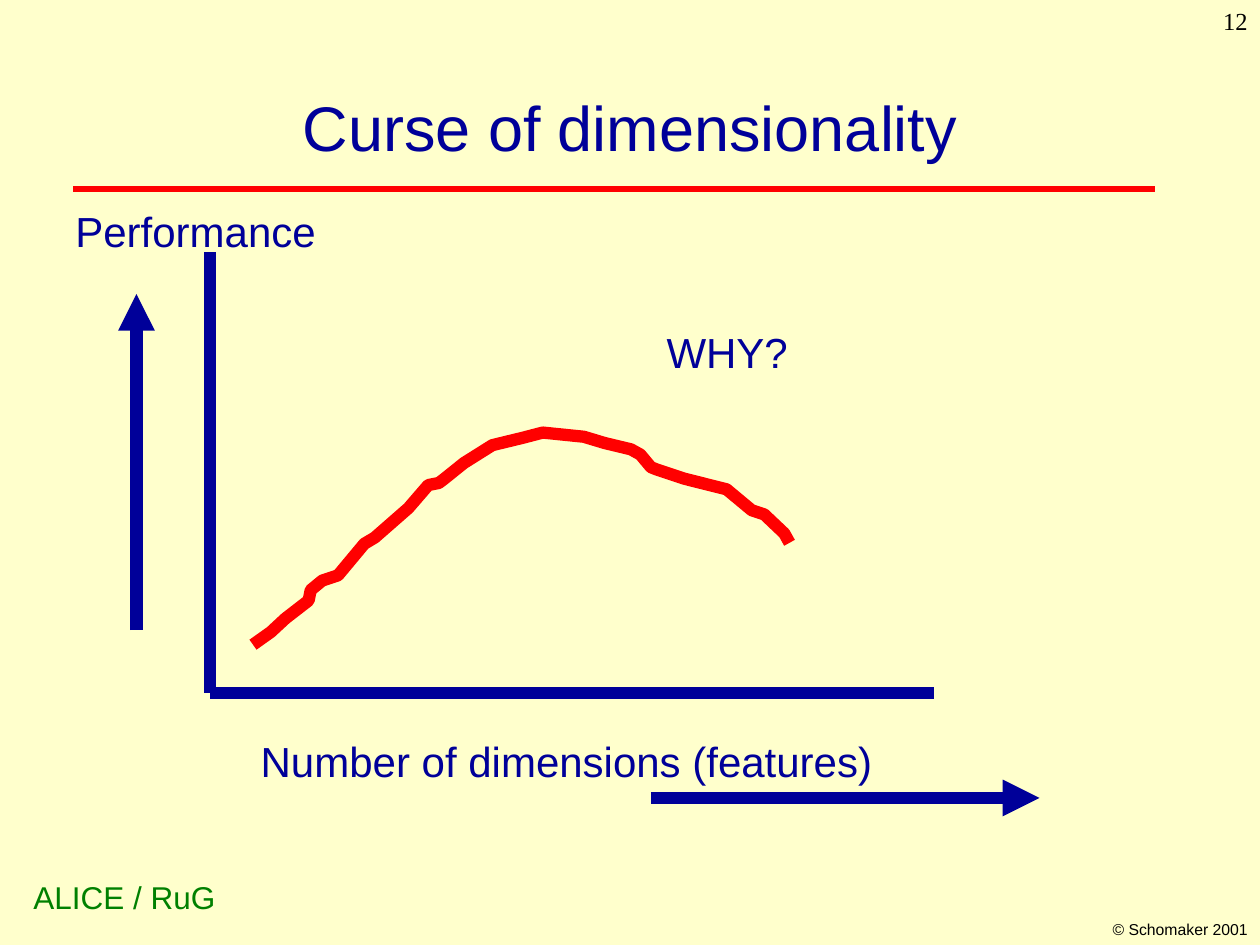
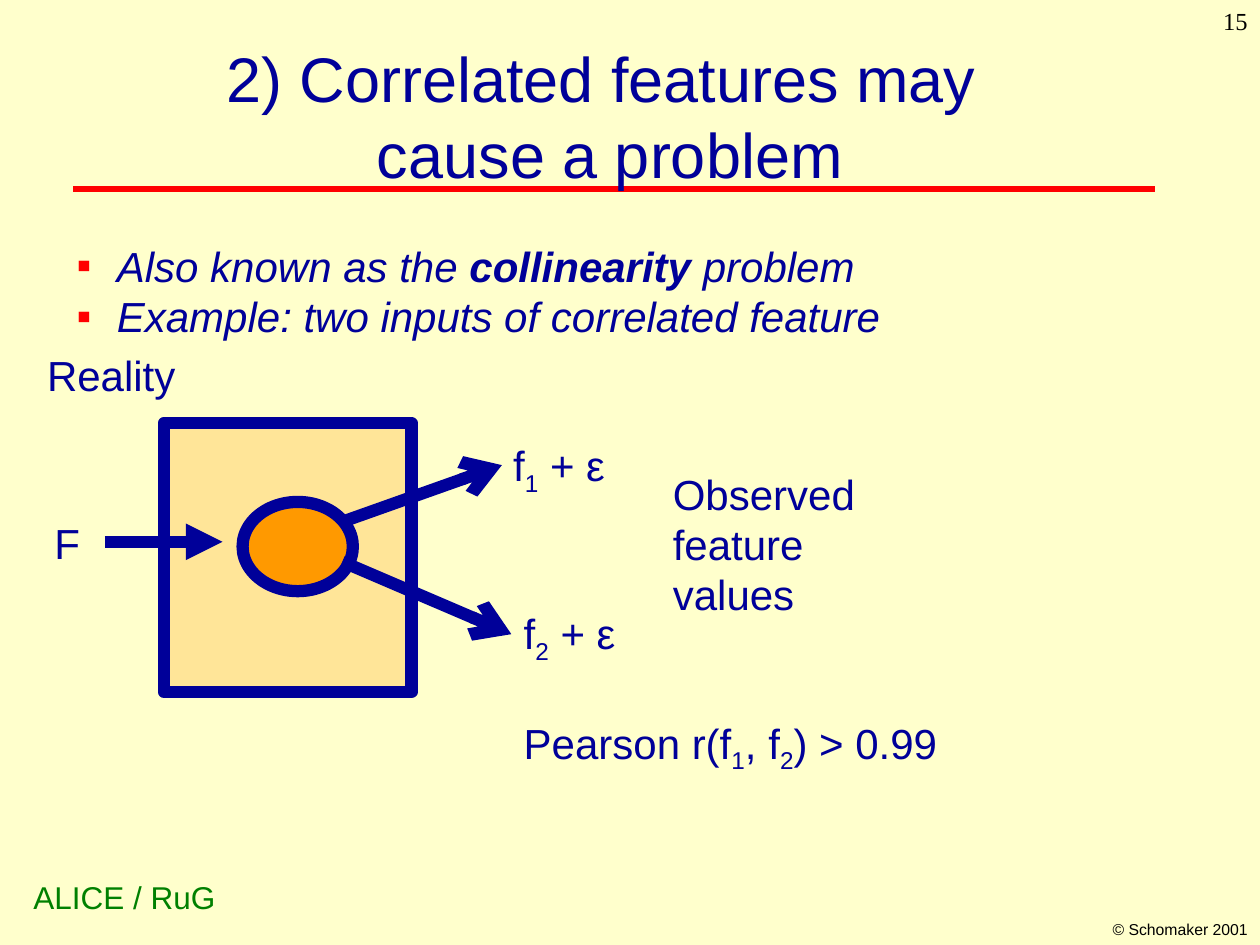
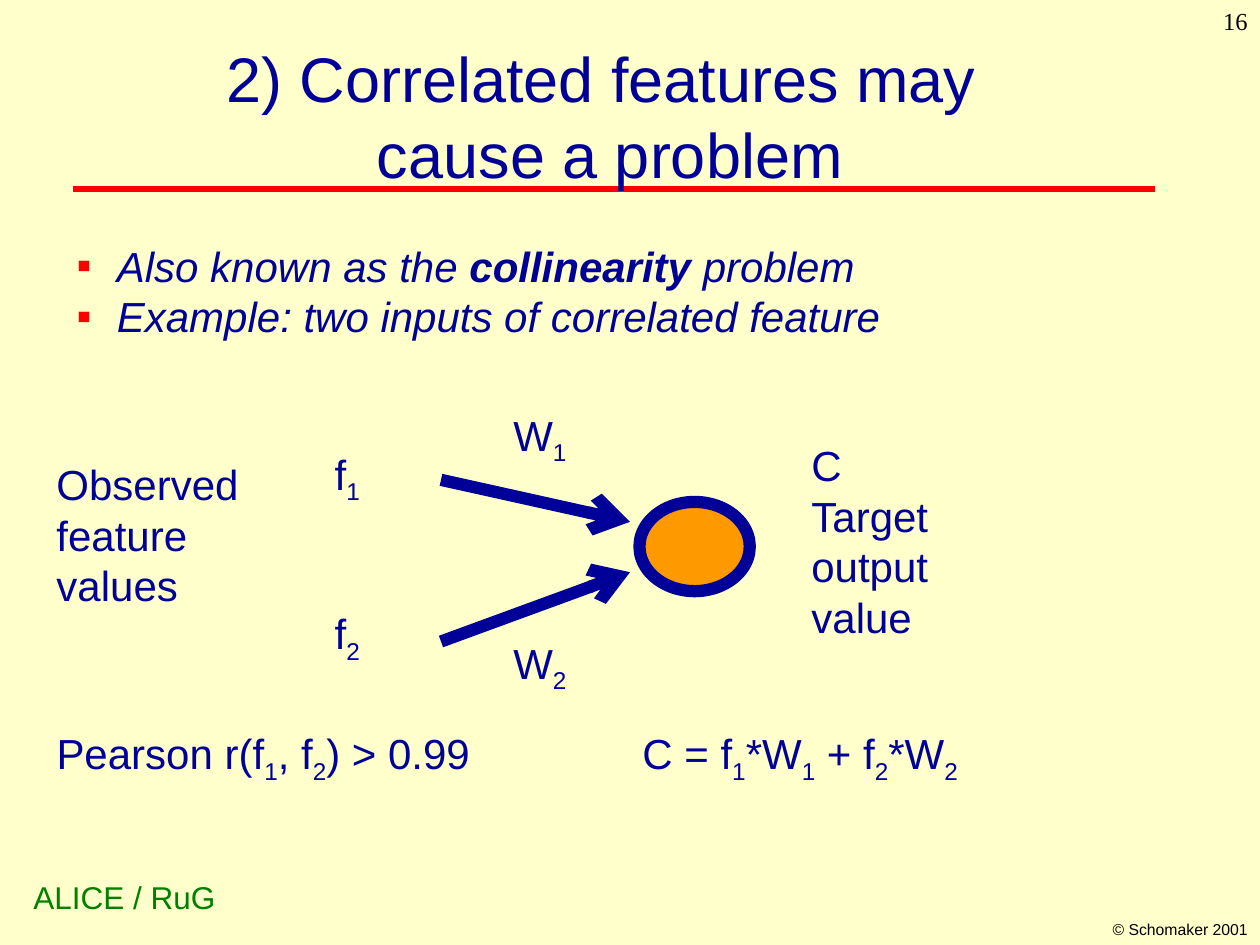
import pptx
import pptx.dml.color
import pptx.enum.shapes
import pptx.enum.text
import pptx.oxml
import pptx.oxml.ns
import pptx.util

COLORS = {
    "paper": "FFFFCC",
    "ink": "000099",
    "red": "FF0000",
    "green": "008000",
    "orange": "FF9900",
    "black": "000000",
}
RGB = {name: pptx.dml.color.RGBColor.from_string(code) for name, code in COLORS.items()}
ALIGN = pptx.enum.text.PP_ALIGN
SHAPE = pptx.enum.shapes.MSO_SHAPE
NS = pptx.oxml.ns.nsdecls("a")

deck = pptx.Presentation()
deck.slide_width = pptx.util.Inches(10)
deck.slide_height = pptx.util.Inches(7.5)
cell = deck.slide_width // 120


def add_label(page, text, column, row, columns, rows, size=24, color="ink",
              font="Arial", align=ALIGN.LEFT, emphasis="subscript"):
    area = [round(value * cell) for value in (column, row, columns, rows)]
    box = page.shapes.add_textbox(*area)
    box.text_frame.word_wrap = True
    box.text_frame.text = "\n".join(line.split("|")[0] for line in text.split("\n"))
    for para, line in zip(box.text_frame.paragraphs, text.split("\n")):
        para.alignment = align
        for index, piece in enumerate(line.split("|")[1:], 1):
            span = para.add_run()
            span.text = piece
            if index % 2 and emphasis == "subscript":
                span._r.get_or_add_rPr().set("baseline", "-25000")
            elif index % 2:
                span.font.bold = True
        for span in para.runs:
            span.font.size = pptx.util.Pt(size)
            span.font.name = font
            span.font.color.rgb = RGB[color]
    return box


def add_line(page, start, end, color="ink", width=7, head=None):
    points = [round(value * cell) for value in (*start, *end)]
    line = page.shapes.add_connector(pptx.enum.shapes.MSO_CONNECTOR.STRAIGHT, *points)
    line.line.color.rgb = RGB[color]
    line.line.width = pptx.util.Pt(width)
    if head:
        line.line._get_or_add_ln().append(
            pptx.oxml.parse_xml(f'<a:tailEnd {NS} type="{head}"/>'))
    line._element.spPr.append(pptx.oxml.parse_xml(f"<a:effectLst {NS}/>"))


problem = "2) Correlated features may \vcause a problem"
pages = []
for number, title, column, row in [
    ("12", "Curse of dimensionality", 9, 8),
    ("15", problem, 7.08, 7),
    ("16", problem, 7.08, 7),
]:
    page = deck.slides.add_slide(deck.slide_layouts[6])
    page.background.fill.solid()
    page.background.fill.fore_color.rgb = RGB["paper"]
    add_line(page, (7, 18), (110, 18), "red", 3)
    add_label(page, "ALICE / RuG", 2, 83, 22, 4.8, 18, "green")
    add_label(page, "© Schomaker 2001", 92, 87, 28, 3, 9, "black", align=ALIGN.RIGHT)
    add_label(page, number, 95, 0, 25, 6, 14, "black", "Times New Roman", ALIGN.RIGHT)
    heading = add_label(page, title, column, row, 102, 8, 36, align=ALIGN.CENTER)
    heading.text_frame.vertical_anchor = pptx.enum.text.MSO_ANCHOR.MIDDLE
    pages.append(page)
curse, reality, model = pages

add_line(curse, (20, 24), (20, 66))
add_line(curse, (20, 66), (89, 66))
add_line(curse, (62, 76), (99, 76), head="triangle")
add_line(curse, (13, 60), (13, 28), head="triangle")

performance = [
    (24.1, 61.4), (25.8, 60.2), (27.2, 58.9), (29.4, 57.2), (29.6, 56.2),
    (30.7, 55.3), (32.2, 54.8), (34.7, 51.8), (35.7, 51.2), (38.9, 48.4),
    (40.8, 46.2), (41.8, 46), (42.2, 45.7), (44.2, 44.1), (46.9, 42.4),
    (49.8, 41.7), (51.7, 41.2), (55.6, 41.6), (57.6, 42.2), (60.1, 42.8),
    (61, 43.3), (62, 44.5), (62.5, 44.7), (65.2, 45.6), (69.2, 46.6),
    (71.6, 48.6), (72.8, 49), (74.7, 50.8), (75.2, 51.7),
]
vertices = [(round(x * cell), round(y * cell)) for x, y in performance]
builder = curse.shapes.build_freeform(*vertices[0])
builder.add_line_segments(vertices[1:], close=False)
curve = builder.convert_to_shape()
curve.shadow.inherit = False
curve.fill.background()
curve.line.color.rgb = RGB["red"]
curve.line.width = pptx.util.Pt(7)

for page, kind, column, row, columns, rows, opacity in [
    (reality, SHAPE.RECTANGLE, 15.6, 40.3, 23.6, 25.6, 25),
    (reality, SHAPE.OVAL, 23.1, 47.8, 10.5, 8.5, 100),
    (model, SHAPE.OVAL, 60.9, 47.8, 10.5, 8.5, 100),
]:
    area = [round(value * cell) for value in (column, row, columns, rows)]
    shape = page.shapes.add_shape(kind, *area)
    shape.shadow.inherit = False
    shape.fill.solid()
    shape.fill.fore_color.rgb = RGB["orange"]
    shape.line.color.rgb = RGB["ink"]
    shape.line.width = pptx.util.Pt(7)
    if opacity < 100:
        tint = shape._element.spPr.find(".//" + pptx.oxml.ns.qn("a:srgbClr"))
        tint.append(pptx.oxml.parse_xml(f'<a:alpha {NS} val="{opacity * 1000}"/>'))

for page in (reality, model):
    bullets = add_label(
        page,
        "Also known as the |collinearity |problem\nExample: two inputs of correlated feature",
        6.12, 22.3, 102, 10.8, emphasis="bold")
    for para in bullets.text_frame.paragraphs:
        properties = para._p.get_or_add_pPr()
        indent = round(3.84 * cell)
        properties.set("marL", str(indent))
        properties.set("indent", str(-indent))
        for mark in (
            f'<a:buClr {NS}><a:srgbClr val="{COLORS["red"]}"/></a:buClr>',
            f'<a:buFont {NS} typeface="Arial"/>',
            f'<a:buChar {NS} char="▪"/>',
        ):
            properties.append(pptx.oxml.parse_xml(mark))
        for span in para.runs:
            span.font.italic = True

for page, start, end, head in [
    (reality, (10, 51.6), (21.2, 51.6), "triangle"),
    (reality, (32.6, 49.7), (47.8, 44.3), "arrow"),
    (reality, (32.6, 53.5), (48.7, 60.4), "arrow"),
    (model, (42, 45.7), (60, 49.7), "arrow"),
    (model, (42, 61.1), (60, 54.5), "arrow"),
]:
    add_line(page, start, end, head=head)

correlation = "Pearson r(f|1|, f|2|) > 0.99"
observed = "Observed feature values"
for page, text, column, row, columns, rows in [
    (curse, "Number of dimensions (features)", 23.64, 69.5, 64, 6),
    (curse, "Performance", 6, 19, 28, 6),
    (curse, "WHY?", 62.3, 30.5, 18, 6),
    (reality, "F", 4, 48.7, 6, 6),
    (reality, "f|1| + ε", 47.7, 41.3, 15.8, 6.7),
    (reality, "f|2| + ε", 48.7, 57.3, 15.8, 6.7),
    (reality, correlation, 48.7, 67.7, 47.3, 6.7),
    (reality, "Reality", 3.3, 32.7, 17, 6),
    (reality, observed, 62.9, 44, 26.4, 15.6),
    (model, "f|1", 30.7, 42.1, 15.8, 6.7),
    (model, "f|2", 30.7, 57.3, 15.8, 6.7),
    (model, "W|1", 47.7, 38.4, 9.5, 6.7),
    (model, "W|2", 47.7, 60.1, 9.5, 6.7),
    (model, observed, 4.2, 43.1, 26.4, 15.6),
    (model, "C Target output value", 76.1, 41.3, 15.8, 20.4),
    (model, correlation, 4.2, 68.7, 51, 6.7),
    (model, "C = f|1|*W|1| + f|2|*W|2", 60, 68.7, 47.3, 6.7),
]:
    add_label(page, text, column, row, columns, rows)

deck.save("out.pptx")
